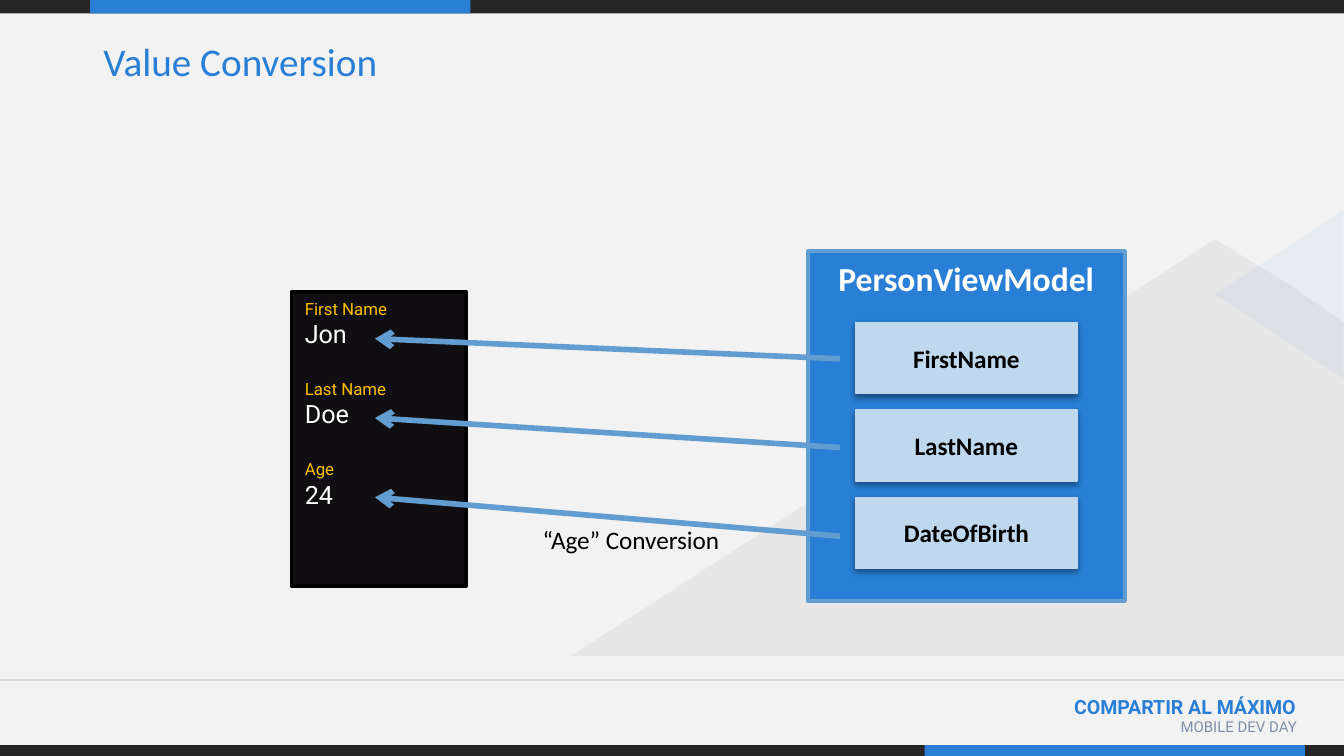
from dataclasses import dataclass

from lxml import etree
from pptx import Presentation
from pptx.dml.color import RGBColor
from pptx.enum.shapes import MSO_CONNECTOR, MSO_SHAPE
from pptx.enum.text import MSO_ANCHOR, PP_ALIGN
from pptx.oxml.ns import qn
from pptx.util import Inches, Pt

RECTANGLE, TRIANGLE = MSO_SHAPE.RECTANGLE, MSO_SHAPE.ISOSCELES_TRIANGLE
STRAIGHT = MSO_CONNECTOR.STRAIGHT
TOP, MIDDLE = MSO_ANCHOR.TOP, MSO_ANCHOR.MIDDLE
LEFT, CENTER, RIGHT = PP_ALIGN.LEFT, PP_ALIGN.CENTER, PP_ALIGN.RIGHT
TITLE_ONLY = 5
WIDTH = 10
HEIGHT = WIDTH * 9 / 16


@dataclass(frozen=True)
class Theme:
    background: str = "F2F2F2"
    dark: str = "262626"
    accent: str = "297FD5"
    arrow: str = "629DD1"
    card: str = "C0D8ED"
    screen: str = "100E10"
    label: str = "FFC000"
    rule: str = "D9D9D9"
    muted: str = "7F8FA9"
    black: str = "000000"
    white: str = "FFFFFF"
    heading_font: str = "Calibri"
    body_font: str = "Roboto"
    title_size: float = 21
    heading_size: float = 18
    body_size: float = 13.5
    event_size: float = 10.5
    label_size: float = 9
    footer_size: float = 8


THEME = Theme()


def rgb(value):
    return RGBColor.from_string(value)


def paint(shape, fill, line=None, line_width=0.75, opacity=None):
    shape.shadow.inherit = False
    shape.fill.solid()
    shape.fill.fore_color.rgb = rgb(fill)
    if opacity is not None:
        color = shape.fill._xPr.find(qn("a:solidFill"))[0]
        etree.SubElement(color, qn("a:alpha"), val=str(opacity * 1000))
    if line:
        shape.line.color.rgb = rgb(line)
        shape.line.width = Pt(line_width)
    else:
        shape.line.fill.background()


def add_box(slide, left, top, width, height, fill, kind=RECTANGLE, **style):
    shape = slide.shapes.add_shape(
        kind, Inches(left), Inches(top), Inches(width), Inches(height))
    paint(shape, fill, **style)
    return shape


def write(paragraph, text, size, color, font=THEME.heading_font, bold=False, align=LEFT):
    paragraph.text = text
    paragraph.alignment = align
    paragraph.font.name = font
    paragraph.font.size = Pt(size)
    paragraph.font.bold = bold
    paragraph.font.color.rgb = rgb(color)


def add_text(slide, left, top, width, height, text, size, color, wrap=True, **style):
    box = slide.shapes.add_textbox(
        Inches(left), Inches(top), Inches(width), Inches(height))
    box.text_frame.word_wrap = wrap
    write(box.text_frame.paragraphs[0], text, size, color, **style)


def add_line(slide, start, end, color, width, arrow=False):
    line = slide.shapes.add_connector(STRAIGHT, *map(Inches, (*start, *end)))
    line.line.color.rgb = rgb(color)
    line.line.width = Pt(width)
    properties = line._element.spPr
    if arrow:
        etree.SubElement(properties.find(qn("a:ln")), qn("a:tailEnd"), type="arrow")
    etree.SubElement(properties, qn("a:effectLst"))


def add_card_shadow(shape):
    effects = shape._element.spPr.find(qn("a:effectLst"))
    shadow = etree.SubElement(
        effects, qn("a:outerShdw"), blurRad=str(Pt(3.1)), dist=str(Pt(1.6)),
        dir="5400000", algn="t", rotWithShape="0")
    color = etree.SubElement(shadow, qn("a:srgbClr"), val=THEME.black)
    etree.SubElement(color, qn("a:alpha"), val="38000")


def add_band(slide, top, height, accent_left):
    add_box(slide, 0, top, WIDTH, height, THEME.dark)
    add_box(slide, accent_left, top, 2.83, height, THEME.accent)


def add_mountains(slide):
    outline = [(10, 4.88), (10, 2.4), (9.55, 2.09), (9.04, 1.78), (4.25, 4.88)]
    points = [(Inches(x), Inches(y)) for x, y in outline]
    builder = slide.shapes.build_freeform(*points[0], scale=1.0)
    builder.add_line_segments(points[1:], close=True)
    paint(builder.convert_to_shape(), THEME.dark, opacity=5)
    peak = add_box(slide, 8.89, 1.71, 1.25, 0.96, THEME.accent, TRIANGLE, opacity=5)
    peak.rotation = 270


def add_footer(slide, top):
    add_line(slide, (0, top), (WIDTH, top), THEME.rule, 0.75)
    add_text(slide, 6.75, top + 0.06, 2.99, 0.4, "COMPARTIR AL MÁXIMO",
             THEME.event_size, THEME.accent, font=THEME.body_font, bold=True, align=RIGHT)
    add_text(slide, 7.94, top + 0.23, 1.81, 0.31, "MOBILE DEV DAY",
             THEME.footer_size, THEME.muted, font=THEME.body_font, align=RIGHT)


def set_title(slide, left, top, width, height, text):
    title = slide.shapes.title
    title.left, title.top = Inches(left), Inches(top)
    title.width, title.height = Inches(width), Inches(height)
    title.text_frame.vertical_anchor = TOP
    write(title.text_frame.paragraphs[0], text, THEME.title_size, THEME.accent)


def add_view_model(slide, left, top, width, height, name, properties):
    panel = add_box(slide, left, top, width, height, THEME.accent,
                    line=THEME.arrow, line_width=2)
    panel.text_frame.vertical_anchor = TOP
    write(panel.text_frame.paragraphs[0], name, THEME.heading_size, THEME.white,
          bold=True, align=CENTER)
    card_width, card_height, pitch = 1.65, 0.53, 0.65
    for index, text in enumerate(properties):
        card = add_box(slide, left + (width - card_width) / 2, top + 0.53 + index * pitch,
                       card_width, card_height, THEME.card, line=THEME.card)
        add_card_shadow(card)
        card.text_frame.vertical_anchor = MIDDLE
        write(card.text_frame.paragraphs[0], text, THEME.body_size, THEME.black,
              bold=True, align=CENTER)


def add_phone_screen(slide, left, top, width, height, fields):
    screen = add_box(slide, left, top, width, height, THEME.screen,
                     line=THEME.black, line_width=2)
    frame = screen.text_frame
    frame.vertical_anchor = TOP
    for index, (label, value) in enumerate(fields):
        paragraph = frame.add_paragraph() if index else frame.paragraphs[0]
        write(paragraph, label, THEME.label_size, THEME.label, THEME.body_font)
        if index:
            paragraph.space_before = Pt(16)
        write(frame.add_paragraph(), value, THEME.body_size, THEME.white, THEME.body_font)


def add_bindings(slide, start, end, count):
    for index in range(count):
        add_line(slide, (start[0], start[1] + index * 0.66),
                 (end[0], end[1] + index * 0.59), THEME.arrow, 3, arrow=True)


def main():
    presentation = Presentation()
    presentation.slide_width, presentation.slide_height = Inches(WIDTH), Inches(HEIGHT)
    slide = presentation.slides.add_slide(presentation.slide_layouts[TITLE_ONLY])
    slide.background.fill.solid()
    slide.background.fill.fore_color.rgb = rgb(THEME.background)

    add_band(slide, 0, 0.1, 0.67)
    add_footer(slide, 5.06)
    add_band(slide, HEIGHT - 0.08, 0.08, 6.88)
    add_mountains(slide)
    set_title(slide, 0.67, 0.23, 7.71, 0.94, "Value Conversion")

    properties = ["FirstName", "LastName", "DateOfBirth"]
    fields = [("First Name", "Jon"), ("Last Name", "Doe"), ("Age", "24")]
    add_view_model(slide, 6.01, 1.87, 2.36, 2.6, "PersonViewModel", properties)
    add_phone_screen(slide, 2.17, 2.17, 1.3, 2.19, fields)
    add_bindings(slide, (6.25, 2.67), (2.79, 2.52), len(fields))
    add_text(slide, 3.94, 3.85, 1.53, 0.33, "“Age” Conversion",
             THEME.body_size, THEME.black, wrap=False)
    presentation.save("out.pptx")


if __name__ == "__main__":
    main()
